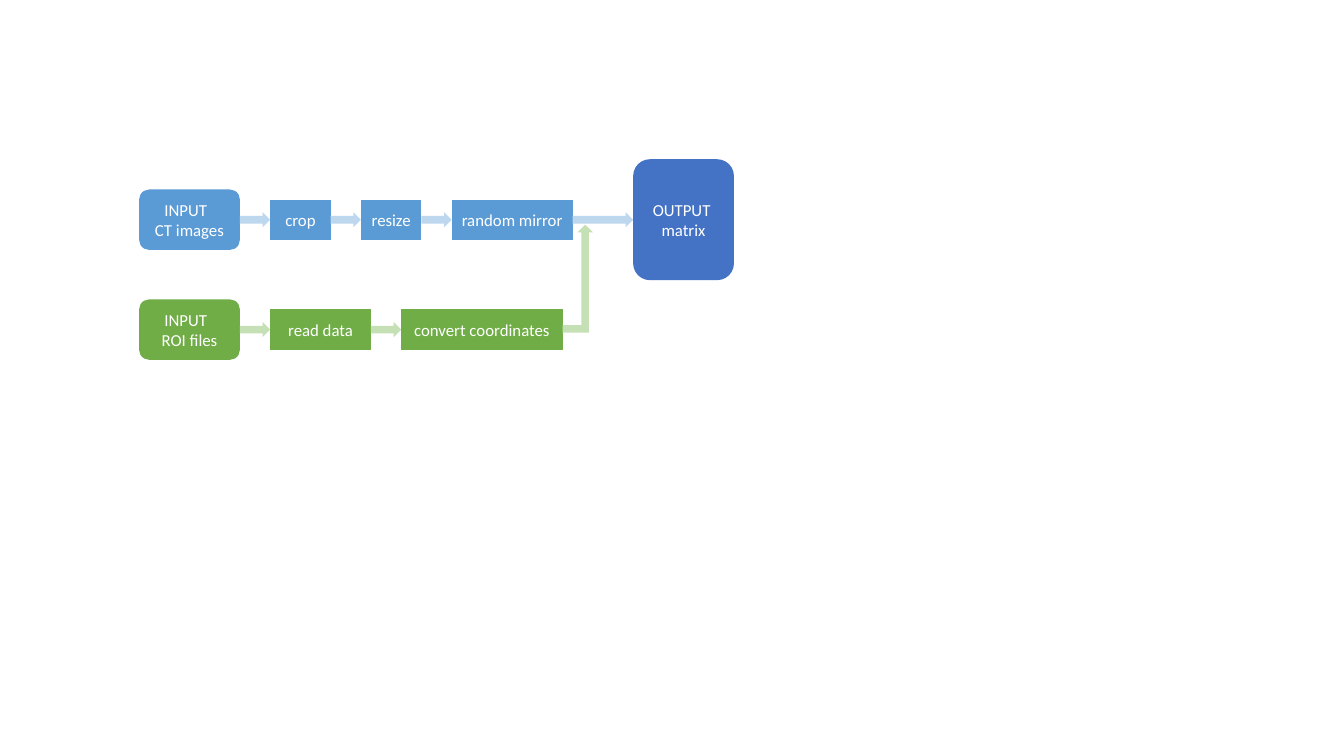
from pptx import Presentation
from pptx.dml.color import RGBColor
from pptx.enum.shapes import MSO_SHAPE as Preset
from pptx.enum.text import MSO_ANCHOR as Anchor, PP_ALIGN as Align
from pptx.util import Inches, Pt

START, GAP, ARROW_H = 1.38, 0.3, 0.15
LABEL_FONT = {"name": "Calibri", "size": Pt(12)}
FRAME = {"word_wrap": True, "vertical_anchor": Anchor.MIDDLE,
         "margin_left": Inches(0.05), "margin_right": Inches(0.05)}

deck = Presentation()
deck.slide_width, deck.slide_height = Inches(13.33), Inches(7.5)
slide = deck.slides.add_slide(deck.slide_layouts[6])


def color(hex_code):
    return RGBColor.from_string(hex_code)


def add_step(preset, left, middle, width, height, fill, label=""):
    """Add a flat shape centred vertically on `middle`, one paragraph per line."""
    step = slide.shapes.add_shape(preset, Inches(left), Inches(middle - height / 2),
                                  Inches(width), Inches(height))
    step.shadow.inherit = False
    step.fill.solid()
    step.fill.fore_color.rgb = color(fill)
    step.line.fill.background()
    if not label:
        return
    for key, value in FRAME.items():
        setattr(step.text_frame, key, value)
    step.text_frame.text = label
    for line in step.text_frame.paragraphs:
        line.alignment = Align.CENTER
        line.font.color.rgb = color("FFFFFF")
        for key, value in LABEL_FONT.items():
            setattr(line.font, key, value)


# Pipelines: row middle, box fill, arrow fill, steps (label, width, height, gap after)
image_row, roi_row = 2.18, 3.27
pipelines = [
    (image_row, "5B9BD5", "BDD7EE", [
        ("INPUT  \nCT images", 1, 0.6, GAP),
        ("crop", 0.6, 0.4, GAP),
        ("resize", 0.6, 0.4, GAP),
        ("random mirror", 1.2, 0.4, 2 * GAP),
    ]),
    (roi_row, "70AD47", "C5E0B4", [
        ("INPUT  \nROI files", 1, 0.6, GAP),
        ("read data", 1, 0.4, GAP),
        ("convert coordinates", 1.6, 0.4, 0),
    ]),
]
row_ends = []
for middle, box_fill, arrow_fill, steps in pipelines:
    left = START
    for label, width, height, gap in steps:
        preset = (Preset.FLOWCHART_ALTERNATE_PROCESS if left == START
                  else Preset.FLOWCHART_PROCESS)
        add_step(preset, left, middle, width, height, box_fill, label)
        left += width
        if gap:
            add_step(Preset.RIGHT_ARROW, left, middle, gap, ARROW_H, arrow_fill)
        left += gap
    row_ends.append(left)
output_left, roi_end = row_ends

# ROI data joins the image pipeline
join_height = 1.07
add_step(Preset.BENT_UP_ARROW, roi_end, 2.23 + join_height / 2, GAP, join_height, "C5E0B4")

# Output
add_step(Preset.FLOWCHART_ALTERNATE_PROCESS, output_left, image_row, 1, 1.2,
         "4472C4", "OUTPUT \nmatrix")

deck.save("out.pptx")
